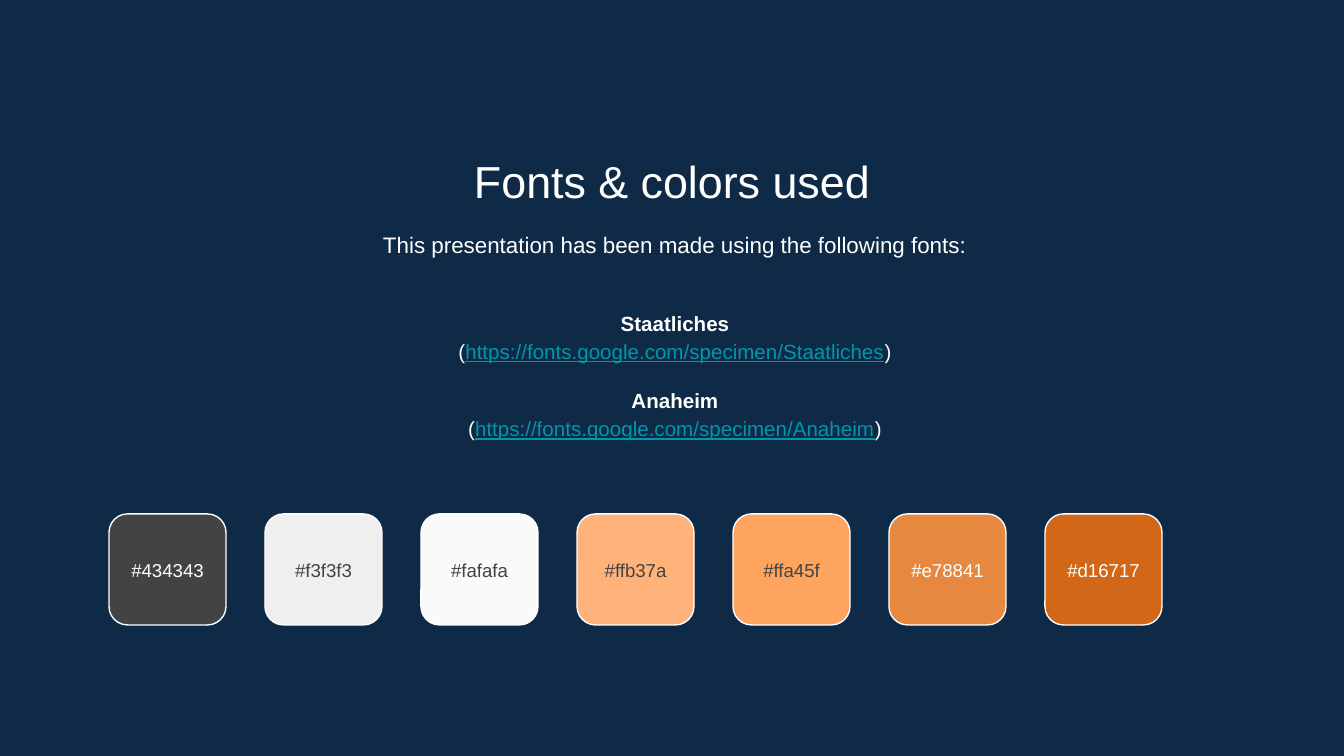
from dataclasses import dataclass

from pptx import Presentation
from pptx.dml.color import RGBColor
from pptx.enum.shapes import MSO_SHAPE
from pptx.enum.text import MSO_ANCHOR, PP_ALIGN
from pptx.util import Emu, Inches, Pt

PX = 914400 / 134.4


def px(n):
    return Emu(round(n * PX))


@dataclass(frozen=True)
class Theme:
    font: str = "Arial"
    background: str = "0E2A47"
    light: str = "FFFFFF"
    dark: str = "434343"
    link: str = "0097A7"
    title: int = 24
    intro: int = 12
    body: int = 11
    label: int = 10
    spacing: float = 1.15


class SlideBuilder:
    def __init__(self, prs, theme):
        self.theme = theme
        self.slide = prs.slides.add_slide(prs.slide_layouts[5])
        fill = self.slide.background.fill
        fill.solid()
        fill.fore_color.rgb = RGBColor.from_string(theme.background)

    def run(self, p, text, size, color=None, bold=False, underline=False):
        r = p.add_run()
        r.text = text
        r.font.name = self.theme.font
        r.font.size = Pt(size)
        r.font.bold = bold
        r.font.underline = underline
        r.font.color.rgb = RGBColor.from_string(color or self.theme.light)

    def frame(self, sp, anchor):
        """Set the common insets and return the text frame."""
        tf = sp.text_frame
        tf.word_wrap = True
        tf.vertical_anchor = anchor
        tf.margin_left = tf.margin_right = Inches(0.1)
        tf.margin_top = tf.margin_bottom = Inches(0.1)
        return tf

    def title(self, text, x, y, w, h):
        sp = self.slide.shapes.title
        sp.left, sp.top, sp.width, sp.height = map(px, (x, y, w, h))
        p = self.frame(sp, MSO_ANCHOR.TOP).paragraphs[0]
        p.alignment = PP_ALIGN.CENTER
        self.run(p, text, self.theme.title)

    def text(self, paragraphs, x, y, w, h, size, anchor=MSO_ANCHOR.MIDDLE, spacing=None):
        """Each paragraph is (space before, [(text, run style), ...])."""
        sp = self.slide.shapes.add_textbox(*map(px, (x, y, w, h)))
        tf = self.frame(sp, anchor)
        for i, (before, runs) in enumerate(paragraphs):
            p = tf.add_paragraph() if i else tf.paragraphs[0]
            p.alignment = PP_ALIGN.CENTER
            p.line_spacing = spacing
            if before:
                p.space_before = Pt(before)
            for text, style in runs:
                self.run(p, text, size, **style)

    def swatch(self, x, y, w, h, color):
        sp = self.slide.shapes.add_shape(MSO_SHAPE.ROUNDED_RECTANGLE, *map(px, (x, y, w, h)))
        sp.shadow.inherit = False
        sp.fill.solid()
        sp.fill.fore_color.rgb = RGBColor.from_string(color)
        sp.line.color.rgb = RGBColor.from_string(self.theme.light)
        sp.line.width = Pt(0.75)


def main():
    theme = Theme()
    prs = Presentation()
    prs.slide_width, prs.slide_height = px(1344), px(756)
    s = SlideBuilder(prs, theme)

    s.title("Fonts & colors used", 154, 140, 1036, 71)
    intro = "This presentation has been made using the following fonts:"
    s.text([(0, [(intro, {})])], 157, 214, 1036, 65, theme.intro,
           MSO_ANCHOR.TOP, theme.spacing)

    fonts = []
    for name in ("Staatliches", "Anaheim"):
        url = f"https://fonts.google.com/specimen/{name}"
        link = {"color": theme.link, "underline": True}
        fonts.append((11 if fonts else 0, [(name, {"bold": True})]))
        fonts.append((0, [("(", {}), (url, link), (")", {})]))
    s.text(fonts, 157, 282, 1036, 184, theme.body, spacing=theme.spacing)

    swatches = [
        ("434343", "#434343", theme.light),
        ("EFEFEF", "#f3f3f3", theme.dark),
        ("FAFAFA", "#fafafa", theme.dark),
        ("FFB37A", "#ffb37a", theme.dark),
        ("FFA45F", "#ffa45f", theme.dark),
        ("E78841", "#e78841", theme.light),
        ("D16717", "#d16717", theme.light),
    ]
    for i, (fill, label, color) in enumerate(swatches):
        x = 109 + 156 * i
        s.swatch(x, 514, 117, 111, fill)
        s.text([(0, [(label, {"color": color})])], x, 538, 117, 65, theme.label)

    prs.save("out.pptx")


if __name__ == "__main__":
    main()
